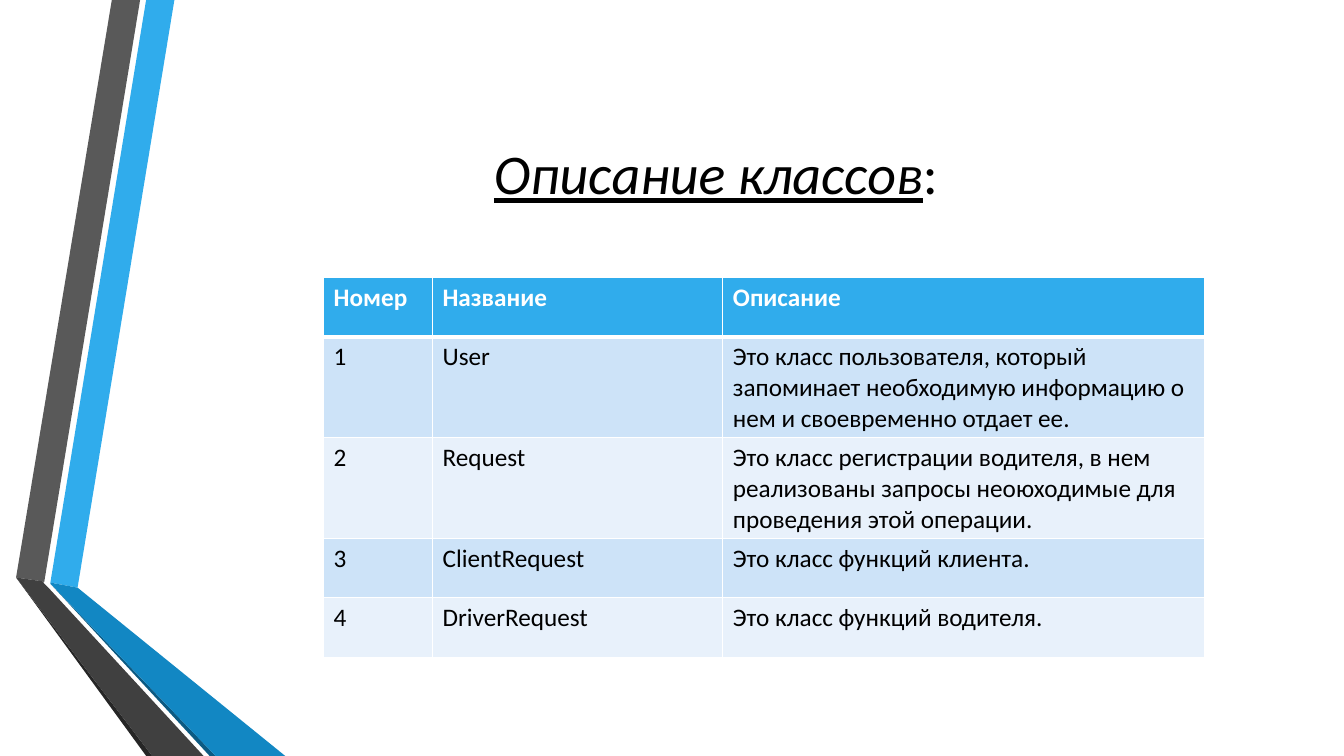
from lxml.etree import SubElement
from pptx import Presentation
from pptx.dml.color import RGBColor
from pptx.enum.text import MSO_ANCHOR, PP_ALIGN
from pptx.oxml.ns import qn
from pptx.util import Inches, Pt

COLORS = {
    "blue": "30ACEC", "blue_dark": "1287C3", "blue_deep": "0C5A82",
    "gray": "595959", "gray_dark": "404040", "gray_deep": "262626",
    "band_odd": "CDE3F8", "band_even": "E8F1FB",
    "black": "000000", "white": "FFFFFF",
}

RIBBONS = [
    ("blue", [(0.5, 5.78), (0.77, 5.83), (1.73, 0), (1.45, 0)]),
    ("gray", [(1.39, 0), (1.11, 0), (0.16, 5.73), (0.44, 5.77)]),
    ("gray_deep", [(0.16, 5.73), (1.45, 7.5), (1.51, 7.5)]),
    ("blue_deep", [(0.5, 5.79), (2.08, 7.5), (2.14, 7.5)]),
    ("blue_dark", [(0.5, 5.79), (2.14, 7.5), (2.83, 7.5), (0.77, 5.83), (0.5, 5.78)]),
    ("gray_dark", [(2.02, 7.5), (0.48, 5.83), (0.43, 5.78), (0.44, 5.77),
                   (0.16, 5.73), (1.51, 7.5)]),
]

CLASSES = [
    ("Номер", "Название", "Описание"),
    ("1", "User", "Это класс пользователя, который запоминает необходимую "
                  "информацию о нем и своевременно отдает ее."),
    ("2", "Request", "Это класс регистрации водителя, в нем реализованы запросы "
                     "неоюходимые для проведения этой операции."),
    ("3", "ClientRequest", "Это класс функций клиента."),
    ("4", "DriverRequest", "Это класс функций водителя."),
]


class SlideBuilder:
    font = "Calibri"

    def __init__(self, slide):
        self.s = slide

    def color(self, name):
        return RGBColor.from_string(COLORS[name])

    def run(self, p, text, size, color, bold=False, italic=False, underline=False):
        r = p.add_run()
        r.text = text
        f = r.font
        f.name, f.size, f.color.rgb = self.font, Pt(size), self.color(color)
        f.bold, f.italic, f.underline = bold, italic, underline

    def polygon(self, points, color):
        pts = [(Inches(x), Inches(y)) for x, y in points]
        fb = self.s.shapes.build_freeform(*pts[0])
        fb.add_line_segments(pts[1:], close=True)
        sp = fb.convert_to_shape()
        sp.shadow.inherit = False
        sp.fill.solid()
        sp.fill.fore_color.rgb = self.color(color)
        sp.line.fill.background()

    def title(self, x, y, w, h, runs, size):
        sp = self.s.shapes.add_textbox(Inches(x), Inches(y), Inches(w), Inches(h))
        tf = sp.text_frame
        tf.word_wrap = True
        tf.vertical_anchor = MSO_ANCHOR.MIDDLE
        p = tf.paragraphs[0]
        p.alignment = PP_ALIGN.CENTER
        for text, style in runs:
            self.run(p, text, size, "black", **style)

    def borders(self, cell, top, bottom):
        tcPr = cell._tc.get_or_add_tcPr()
        for i, (side, width) in enumerate(
                [("L", 1), ("R", 1), ("T", top), ("B", bottom)]):
            ln = SubElement(tcPr, qn(f"a:ln{side}"), w=str(Pt(width)))
            fill = SubElement(ln, qn("a:solidFill"))
            SubElement(fill, qn("a:srgbClr"), val=COLORS["white"])
            tcPr.remove(ln)
            tcPr.insert(i, ln)

    def table(self, x, y, widths, row_h, rows, size):
        tbl = self.s.shapes.add_table(
            len(rows), len(widths), Inches(x), Inches(y),
            Inches(sum(widths)), Inches(row_h * len(rows))).table
        for col, width in zip(tbl.columns, widths):
            col.width = Inches(width)
        for i, row in enumerate(rows):
            tbl.rows[i].height = Inches(row_h)
            header = i == 0
            band = "blue" if header else "band_odd" if i % 2 else "band_even"
            for j, text in enumerate(row):
                cell = tbl.cell(i, j)
                cell.fill.solid()
                cell.fill.fore_color.rgb = self.color(band)
                self.borders(cell, 3 if i == 1 else 1, 3 if header else 1)
                self.run(cell.text_frame.paragraphs[0], text, size,
                         "white" if header else "black", bold=header)


prs = Presentation()
prs.slide_width, prs.slide_height = Inches(13.33), Inches(7.5)
b = SlideBuilder(prs.slides.add_slide(prs.slide_layouts[6]))
for color, points in RIBBONS:
    b.polygon(points, color)
b.title(1.62, 0.75, 10.96, 1.92,
        [("Описание классов", {"italic": True, "underline": True}), (":", {})], 40)
b.table(3.21, 2.75, [1.08, 2.88, 4.78], 0.59, CLASSES, 18)
prs.save("out.pptx")
